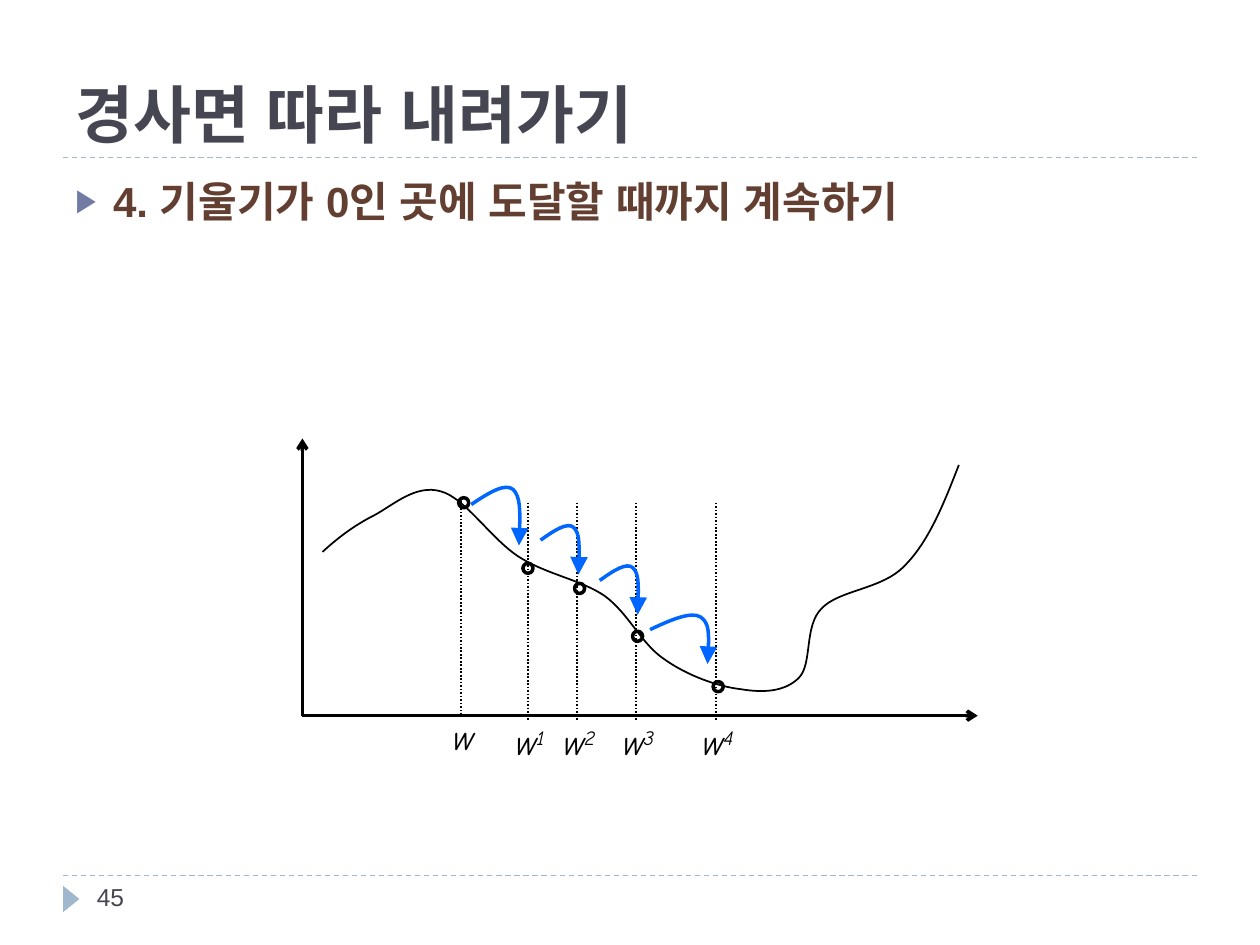
"""Build the slide on walking down a slope until the gradient is zero."""
from pptx import Presentation
from pptx.dml.color import RGBColor
from pptx.enum.dml import MSO_LINE as Dash
from pptx.enum.shapes import MSO_CONNECTOR as Conn, MSO_SHAPE as Shape
from pptx.enum.text import MSO_ANCHOR as Anchor, MSO_AUTO_SIZE as Auto, PP_ALIGN as Align
from pptx.oxml.ns import qn
from pptx.util import Inches, Pt
from lxml.etree import SubElement

BLACK = RGBColor(0x00, 0x00, 0x00)
BLUE = RGBColor(0x00, 0x66, 0xFF)
SLATE = RGBColor(0x46, 0x46, 0x53)
BROWN = RGBColor(0x63, 0x3F, 0x32)
PALE = RGBColor(0x9F, 0xB8, 0xCD)

TITLE = "경사면 따라 내려가기"
POINT = "4. 기울기가 0인 곳에 도달할 때까지 계속하기"
NUMBER = "45"
RULES = [1.25, 6.95]
ORIGIN = (2.4, 5.68)
AXES = [(7.76, 5.68), (2.4, 3.48)]
SLOPE = [
    (2.56, 4.38), (2.68, 4.27), (2.81, 4.17), (2.97, 4.09),
    (3.12, 4.01), (3.3, 3.84), (3.5, 3.9), (3.69, 3.95), (3.9, 4.28), (4.12, 4.42),
    (4.34, 4.56), (4.61, 4.6), (4.8, 4.73), (4.99, 4.87), (5.09, 5.11), (5.27, 5.23),
    (5.45, 5.36), (5.7, 5.45), (5.88, 5.47), (6.06, 5.5), (6.23, 5.49), (6.34, 5.38),
    (6.45, 5.27), (6.38, 4.97), (6.52, 4.83), (6.66, 4.68), (7, 4.68), (7.18, 4.49),
    (7.37, 4.3), (7.49, 4), (7.61, 3.69),
]
HOP = [(0, 0.35), (0.34, 0.17), (0.69, 0), (0.85, 0.11), (1, 0.22), (1, 0.61), (0.97, 1)]
STEPS = [
    {"power": "", "x": 3.66, "top": 3.95, "dot": (3.68, 3.99), "hop": None},
    {"power": "1", "x": 4.19, "top": 3.99, "dot": (4.19, 4.51), "hop": (3.74, 3.83, 0.39, 0.5)},
    {"power": "2", "x": 4.58, "top": 3.99, "dot": (4.6, 4.67), "hop": (4.29, 4.14, 0.31, 0.42)},
    {"power": "3", "x": 5.05, "top": 3.99, "dot": (5.06, 5.05), "hop": (4.76, 4.46, 0.31, 0.42)},
    {"power": "4", "x": 5.68, "top": 3.99, "dot": (5.7, 5.45), "hop": (5.16, 4.85, 0.47, 0.42)},
]
DROP, DOT, LABEL = 1.73, 0.08, (0.5, 0.44)


def stroke(shape, color, width, dash=None, head=None, size="med"):
    line = shape.line
    line.color.rgb = color
    line.width = Pt(width)
    if dash:
        line.dash_style = dash
    if head:
        SubElement(line._get_or_add_ln(), qn("a:tailEnd"), type=head, w=size, len=size)


def link(slide, start, end, *style):
    line = slide.shapes.add_connector(Conn.STRAIGHT, *map(Inches, (*start, *end)))
    stroke(line, *style)
    SubElement(line._element.spPr, qn("a:effectLst"))


def curve(slide, knots, *style):
    points = [(Inches(x), Inches(y)) for x, y in knots]
    pen = slide.shapes.build_freeform(*points[0])
    pen.add_line_segments(points[1:], close=False)
    shape = pen.convert_to_shape()
    route = next(shape._element.iter(qn("a:path")))
    legs = route.findall(qn("a:lnTo"))
    for i in range(0, len(legs), 3):
        arc = SubElement(route, qn("a:cubicBezTo"))
        for leg in legs[i:i + 3]:
            arc.append(leg[0])
            route.remove(leg)
    shape.shadow.inherit = False
    shape.fill.background()
    stroke(shape, *style)


def write(para, text, size, color, font="Arial", bold=False, italic=False):
    run = para.add_run()
    run.text = text
    face = run.font
    face.name, face.size, face.bold, face.italic = font, Pt(size), bold, italic
    face.color.rgb = color
    props = run._r.get_or_add_rPr()
    SubElement(props, qn("a:ea"), typeface=font)
    return props


def box(slide, *place, wrap=True):
    frame = slide.shapes.add_textbox(*map(Inches, place)).text_frame
    frame.word_wrap = wrap
    return frame


def bullet(para):
    props = para._p.get_or_add_pPr()
    props.set("marL", str(Inches(0.3)))
    props.set("indent", str(Inches(-0.3)))
    SubElement(SubElement(props, qn("a:buClr")), qn("a:srgbClr"), val="727CA3")
    SubElement(props, qn("a:buSzPct"), val="76000")
    SubElement(props, qn("a:buFont"), typeface="Arial")
    SubElement(props, qn("a:buChar"), char="▶")


def frame_page(slide):
    for y in RULES:
        link(slide, (0.5, y), (9.5, y), PALE, 0.75, Dash.DASH)
    mark = slide.shapes.add_shape(Shape.ISOSCELES_TRIANGLE, *map(Inches, (0.46, 7.07, 0.21, 0.13)))
    mark.rotation = 90
    mark.shadow.inherit = False
    mark.fill.solid()
    mark.fill.fore_color.rgb = PALE
    mark.line.fill.background()

    title = slide.shapes.title
    title.left, title.top, title.width, title.height = map(Inches, (0.5, 0.17, 9, 1.08))
    title.text_frame.vertical_anchor = Anchor.BOTTOM
    para = title.text_frame.paragraphs[0]
    para.alignment = Align.LEFT
    write(para, TITLE, 36, SLATE, bold=True)

    write(box(slide, 0.67, 6.95, 2.17, 0.4).paragraphs[0], NUMBER, 14, SLATE)
    para = box(slide, 0.5, 1.34, 9, 5.4).paragraphs[0]
    bullet(para)
    write(para, POINT, 24, BROWN, bold=True)


def draw_step(slide, step):
    x, top = step["x"], step["top"]
    end = top + DROP
    link(slide, (x, top), (x, end), BLACK, 1, Dash.ROUND_DOT)

    wide, high = LABEL
    label = box(slide, x + 0.02 - wide / 2, end - 0.05, wide, high, wrap=False)
    label.auto_size = Auto.SHAPE_TO_FIT_TEXT
    para = label.paragraphs[0]
    para.alignment = Align.CENTER
    write(para, "w", 20, BLACK, "Comic Neue", italic=True)
    if step["power"]:
        write(para, step["power"], 20, BLACK, "Comic Neue", italic=True).set("baseline", "30000")

    cx, cy = step["dot"]
    place = (cx - DOT / 2, cy - DOT / 2, DOT, DOT)
    dot = slide.shapes.add_shape(Shape.OVAL, *map(Inches, place))
    dot.shadow.inherit = False
    dot.fill.background()
    stroke(dot, BLACK, 2)

    if step["hop"]:
        left, peak, width, height = step["hop"]
        knots = [(left + u * width, peak + v * height) for u, v in HOP]
        curve(slide, knots, BLUE, 2, None, "triangle", "lg")


def main():
    deck = Presentation()
    deck.slide_width, deck.slide_height = Inches(10), Inches(7.5)
    slide = deck.slides.add_slide(deck.slide_layouts[5])
    frame_page(slide)
    for tip in AXES:
        link(slide, ORIGIN, tip, BLACK, 2, None, "arrow")
    curve(slide, SLOPE, BLACK, 1)
    for step in STEPS:
        draw_step(slide, step)
    deck.save("out.pptx")


if __name__ == "__main__":
    main()
